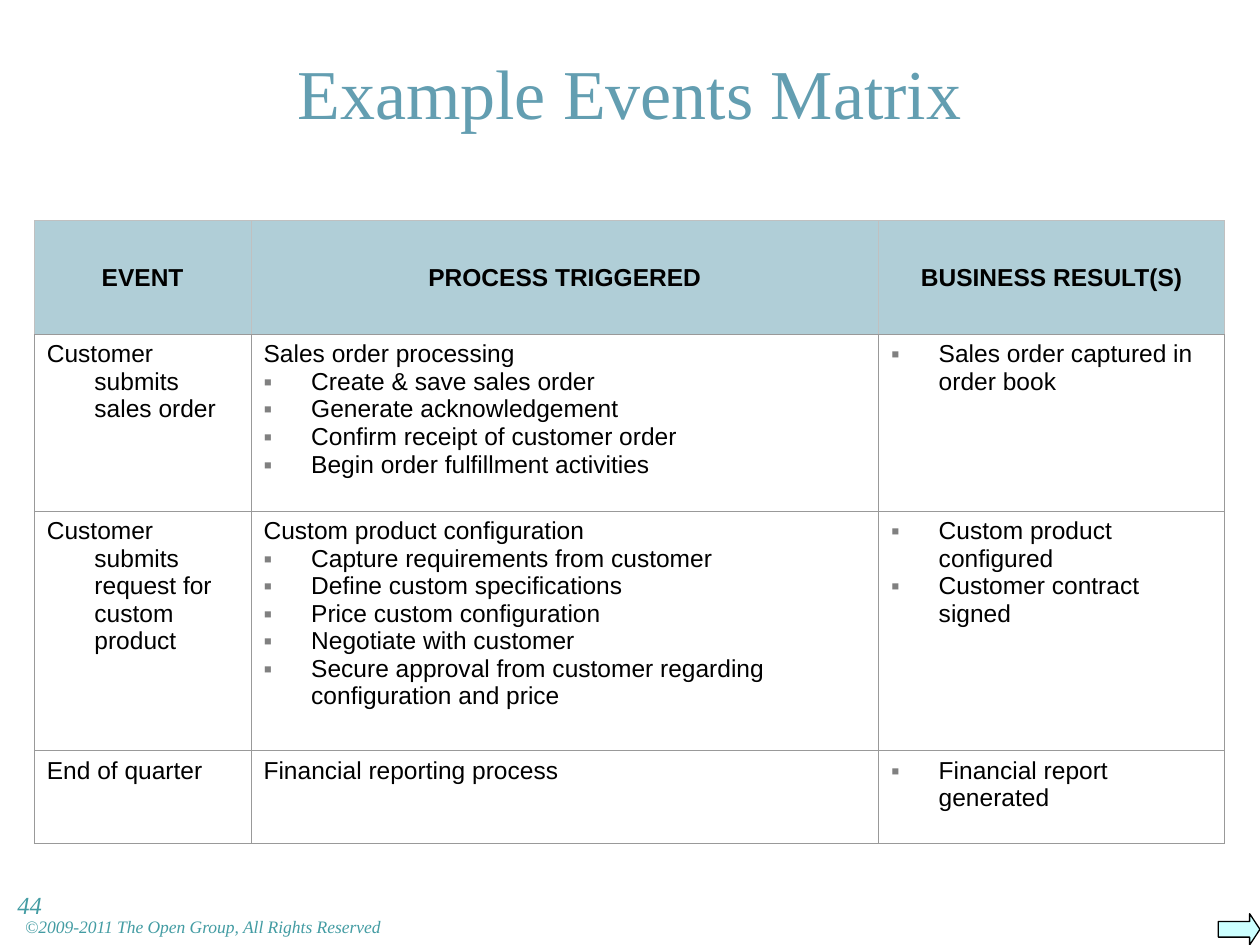
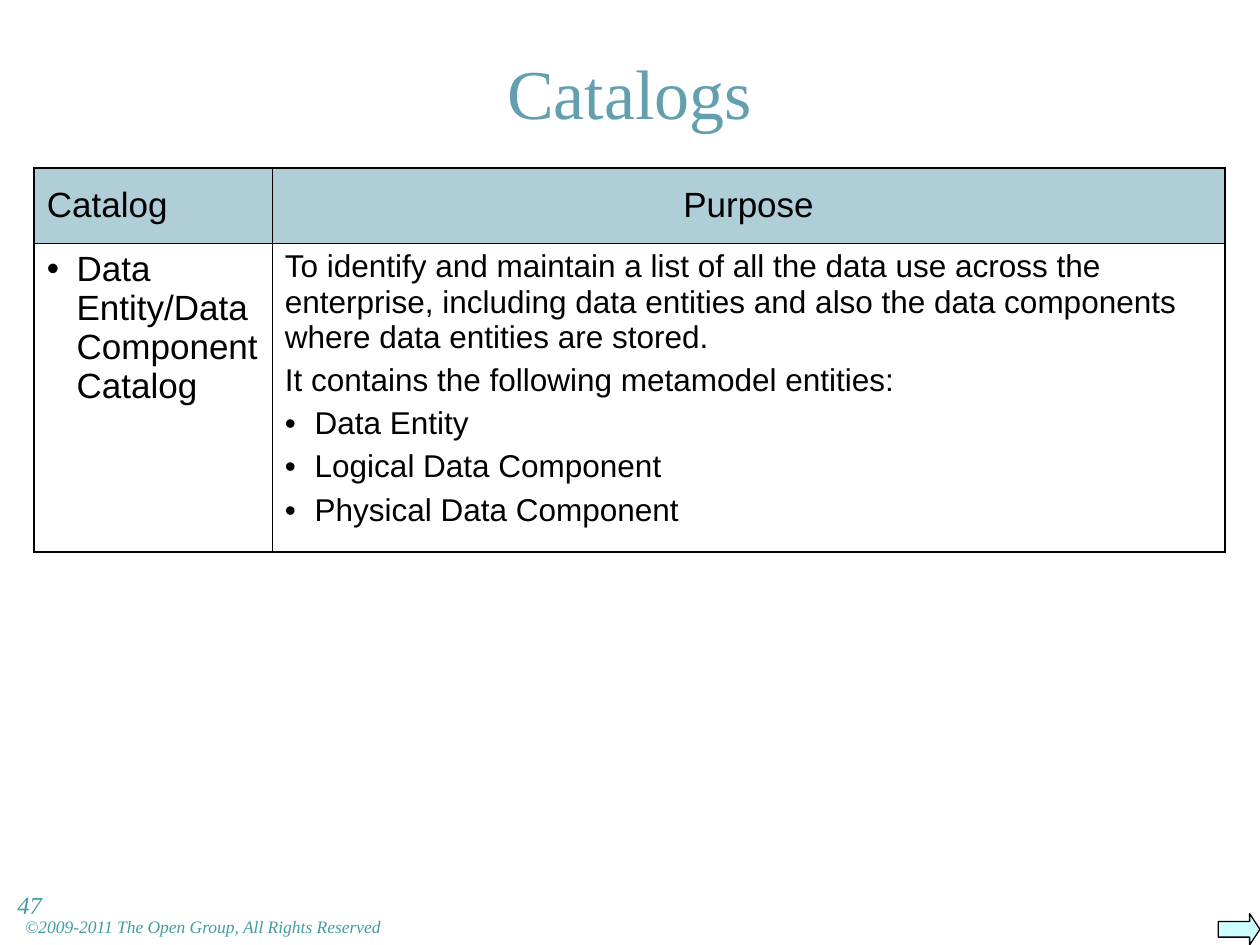
"""Build two slides: an events matrix and a data catalog."""
from dataclasses import dataclass

from lxml.etree import SubElement
from pptx import Presentation
from pptx.dml.color import RGBColor
from pptx.enum.shapes import MSO_SHAPE
from pptx.enum.text import MSO_ANCHOR, MSO_AUTO_SIZE, PP_ALIGN
from pptx.oxml.ns import qn
from pptx.util import Cm, Pt

SERIF, SANS = "Times New Roman", "Arial"
TEAL, FOOT, BLACK, WHITE = "639EB1", "439CA3", "000000", "FFFFFF"
LEFT, MID = PP_ALIGN.LEFT, PP_ALIGN.CENTER
TITLE = (0.69, -0.03, 24, 3.76)
FOOTER = (0.1, 17.81, 25.3, 1.24)


@dataclass
class Look:
    """How a table is drawn: text sizes, bullets and border pens."""
    sizes: tuple
    aligns: tuple
    bold: bool
    mark: str
    tint: str
    indent: float
    hang: bool
    gap: float
    outer: tuple
    inner: tuple
    head: tuple


def color(code):
    """Turn a hex string into a colour."""
    return RGBColor.from_string(code)


def place(box):
    """Convert a box in centimetres to lengths."""
    return [Cm(side) for side in box]


def write(para, text, size, code=BLACK, face=SANS, bold=False, slant=False):
    """Add one formatted run to a paragraph."""
    run = para.add_run()
    run.text = text
    font = run.font
    font.name, font.size, font.bold, font.italic = face, Pt(size), bold, slant
    font.color.rgb = color(code)


def dent(para, look, mark=True):
    """Give a paragraph a hanging indent and, if asked, a bullet."""
    props = para._p.get_or_add_pPr()
    props.set("marL", str(Cm(look.indent)))
    props.set("indent", str(-Cm(look.indent)))
    if mark:
        tint = SubElement(props, qn("a:buClr"))
        SubElement(tint, qn("a:srgbClr"), val=look.tint)
        SubElement(props, qn("a:buFont"), typeface=SANS)
        SubElement(props, qn("a:buChar"), char=look.mark)


def edge(cell, pens):
    """Draw the left, right, top and bottom borders of a cell."""
    props = cell._tc.get_or_add_tcPr()
    for side, (code, width) in zip("LRTB", pens):
        line = SubElement(props, qn(f"a:ln{side}"), w=str(Pt(width)))
        fill = SubElement(line, qn("a:solidFill"))
        SubElement(fill, qn("a:srgbClr"), val=code)


def shade(cell, head):
    """Fill a cell with half-clear teal in the header, else white."""
    cell.fill.solid()
    cell.fill.fore_color.rgb = color(TEAL if head else WHITE)
    if head:
        tone = cell._tc.tcPr.find(f"{qn('a:solidFill')}/{qn('a:srgbClr')}")
        SubElement(tone, qn("a:alpha"), val="50000")


def label(cell, text, look, col):
    """Write a header cell."""
    cell.vertical_anchor = MSO_ANCHOR.MIDDLE
    para = cell.text_frame.paragraphs[0]
    if look.hang:
        dent(para, look, False)
    para.alignment = look.aligns[col]
    write(para, text, look.sizes[0], bold=look.bold)


def body(cell, leads, items, look, col):
    """Write the plain lines of a cell, then its bullets."""
    frame = cell.text_frame
    lines = [(text, False) for text in leads] + [(text, True) for text in items]
    for num, (text, mark) in enumerate(lines):
        para = frame.add_paragraph() if num else frame.paragraphs[0]
        if mark or look.hang:
            dent(para, look, mark)
        para.space_before = Pt(look.gap if num else 0)
        write(para, text, look.sizes[col])


def grid(slide, spot, wides, highs, heads, rows, look):
    """Build a bordered table at a spot."""
    box = (*spot, sum(wides), sum(highs))
    table = slide.shapes.add_table(len(highs), len(wides), *place(box)).table
    table.first_row = table.horz_banding = False
    for col, wide in zip(table.columns, wides):
        col.width = Cm(wide)
    for row, high in zip(table.rows, highs):
        row.height = Cm(high)
    last, end = len(highs) - 1, len(wides) - 1
    for y in range(last + 1):
        for x in range(end + 1):
            cell = table.cell(y, x)
            rims = (x == 0, x == end, y == 0, y == last)
            pens = [look.outer if rim else look.inner for rim in rims]
            if y == 0 and look.head:
                pens[:3] = [look.head] * 3
            edge(cell, pens)
            shade(cell, y == 0)
            if y == 0:
                label(cell, heads[x], look, x)
            else:
                body(cell, *rows[y - 1][x], look, x)


def title(slide, text, box):
    """Move and format the title placeholder."""
    shape = slide.shapes.title
    shape.left, shape.top, shape.width, shape.height = place(box)
    frame = shape.text_frame
    frame.auto_size = MSO_AUTO_SIZE.NONE
    frame.vertical_anchor = MSO_ANCHOR.MIDDLE
    para = frame.paragraphs[0]
    para.alignment = MID
    write(para, text, 40, TEAL, SERIF)


def note(slide, text, size, box, inset):
    """Add one line of slanted footer text."""
    frame = slide.shapes.add_textbox(*place(box)).text_frame
    frame.word_wrap = True
    frame.margin_left = Cm(inset)
    write(frame.paragraphs[0], text, size, FOOT, SERIF, slant=True)


def footer(slide, page, box):
    """Add the arrow, the rights line and the page number."""
    left, top, wide, high = box
    spot = (left + wide - 0.84, top + high - 0.63, 0.84, 0.63)
    arrow = slide.shapes.add_shape(MSO_SHAPE.RIGHT_ARROW, *place(spot))
    arrow.shadow.inherit = False
    arrow.adjustments[1] = 0.33
    arrow.fill.solid()
    arrow.fill.fore_color.rgb = color("CCFFFF")
    arrow.line.color.rgb = color(BLACK)
    arrow.line.width = Pt(0.75)
    rights = "©2009-2011 The Open Group, All Rights Reserved"
    note(slide, rights, 10, (left + 0.41, top + 0.53, 18.59, 0.61), 0)
    note(slide, str(page), 14, (left, top, 3, high), 0.25)


def start(deck, text, page):
    """Add a slide with the shared title and footer."""
    slide = deck.slides.add_slide(deck.slide_layouts[5])
    title(slide, text, TITLE)
    footer(slide, page, FOOTER)
    return slide


def events(deck):
    """Build the events matrix slide."""
    slide = start(deck, "Example Events Matrix", 44)
    pen = ("999999", 0.45)
    look = Look(sizes=(14, 14, 14), aligns=(MID, MID, MID), bold=True,
                mark="▪", tint="808080", indent=0.96, hang=True, gap=0,
                outer=pen, inner=pen, head=("C0C0C0", 0.45))
    heads = ["EVENT", "PROCESS TRIGGERED", "BUSINESS RESULT(S)"]
    rows = [
        [(["Customer submits sales order"], []),
         (["Sales order processing"],
          ["Create & save sales order", "Generate acknowledgement",
           "Confirm receipt of customer order",
           "Begin order fulfillment activities"]),
         ([], ["Sales order captured in order book"])],
        [(["Customer submits request for custom product"], []),
         (["Custom product configuration"],
          ["Capture requirements from customer",
           "Define custom specifications", "Price custom configuration",
           "Negotiate with customer",
           "Secure approval from customer regarding configuration and price"]),
         ([], ["Custom product configured", "Customer contract signed"])],
        [(["End of quarter"], []),
         (["Financial reporting process"], []),
         ([], ["Financial report generated"])],
    ]
    grid(slide, (0.69, 4.45), (4.37, 12.65, 6.98),
         (2.29, 3.56, 4.83, 1.88), heads, rows, look)


def catalog(deck):
    """Build the catalogs slide."""
    slide = start(deck, "Catalogs", 47)
    look = Look(sizes=(20, 18), aligns=(LEFT, MID), bold=False,
                mark="•", tint=BLACK, indent=0.6, hang=False, gap=4.5,
                outer=(BLACK, 1.08), inner=(BLACK, 0.45), head=())
    rows = [
        [([], ["Data Entity/Data Component Catalog"]),
         (["To identify and maintain a list of all the data use across the "
           "enterprise, including data entities and also the data components "
           "where data entities are stored.",
           "It contains the following metamodel entities:"],
          ["Data Entity", "Logical Data Component",
           "Physical Data Component"])],
    ]
    grid(slide, (0.69, 3.38), (4.8, 19.2), (1.52, 6.22),
         ["Catalog", "Purpose"], rows, look)


def main():
    """Make the deck and save it."""
    deck = Presentation()
    deck.slide_width, deck.slide_height = Cm(25.4), Cm(19.05)
    events(deck)
    catalog(deck)
    deck.save("out.pptx")


if __name__ == "__main__":
    main()
